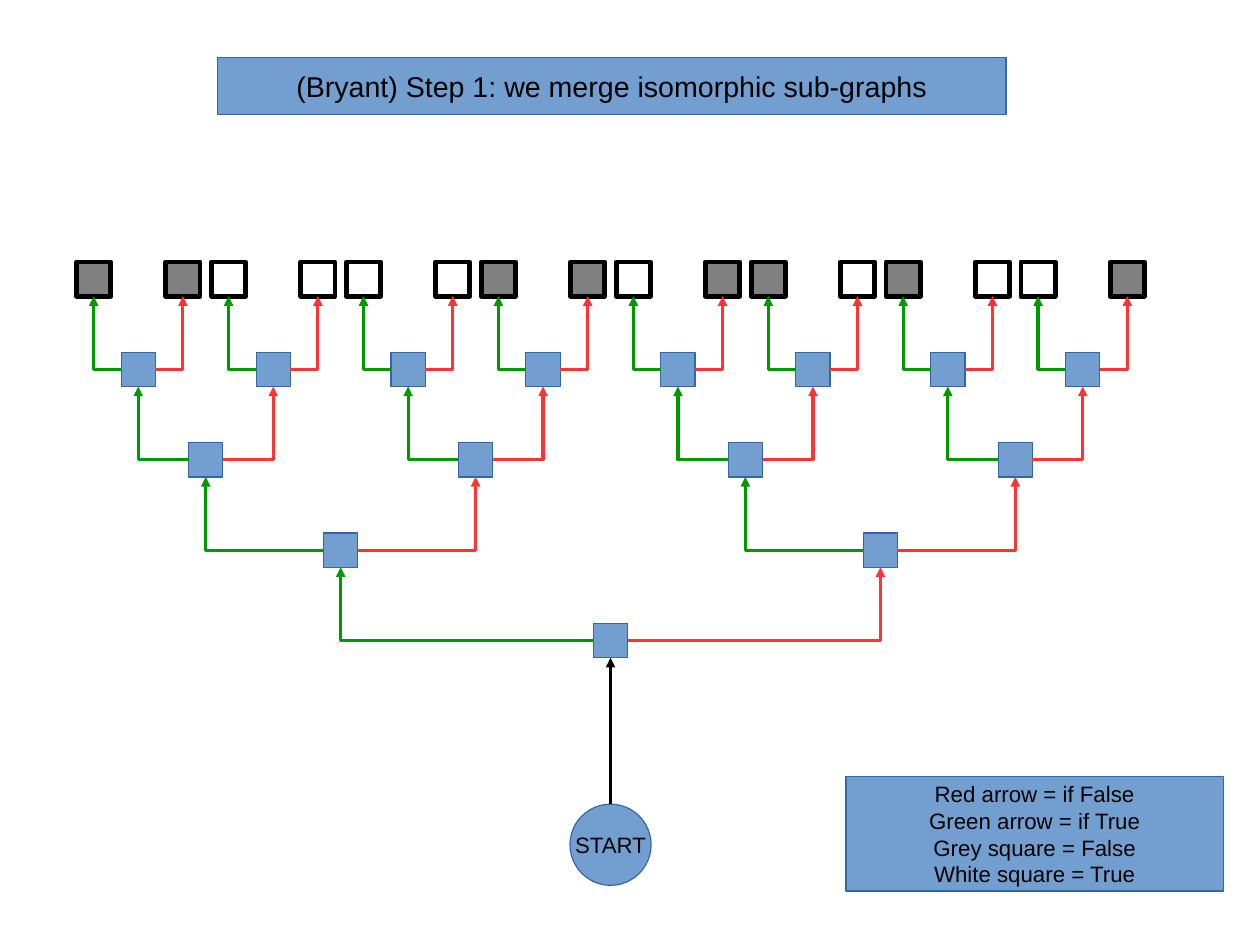
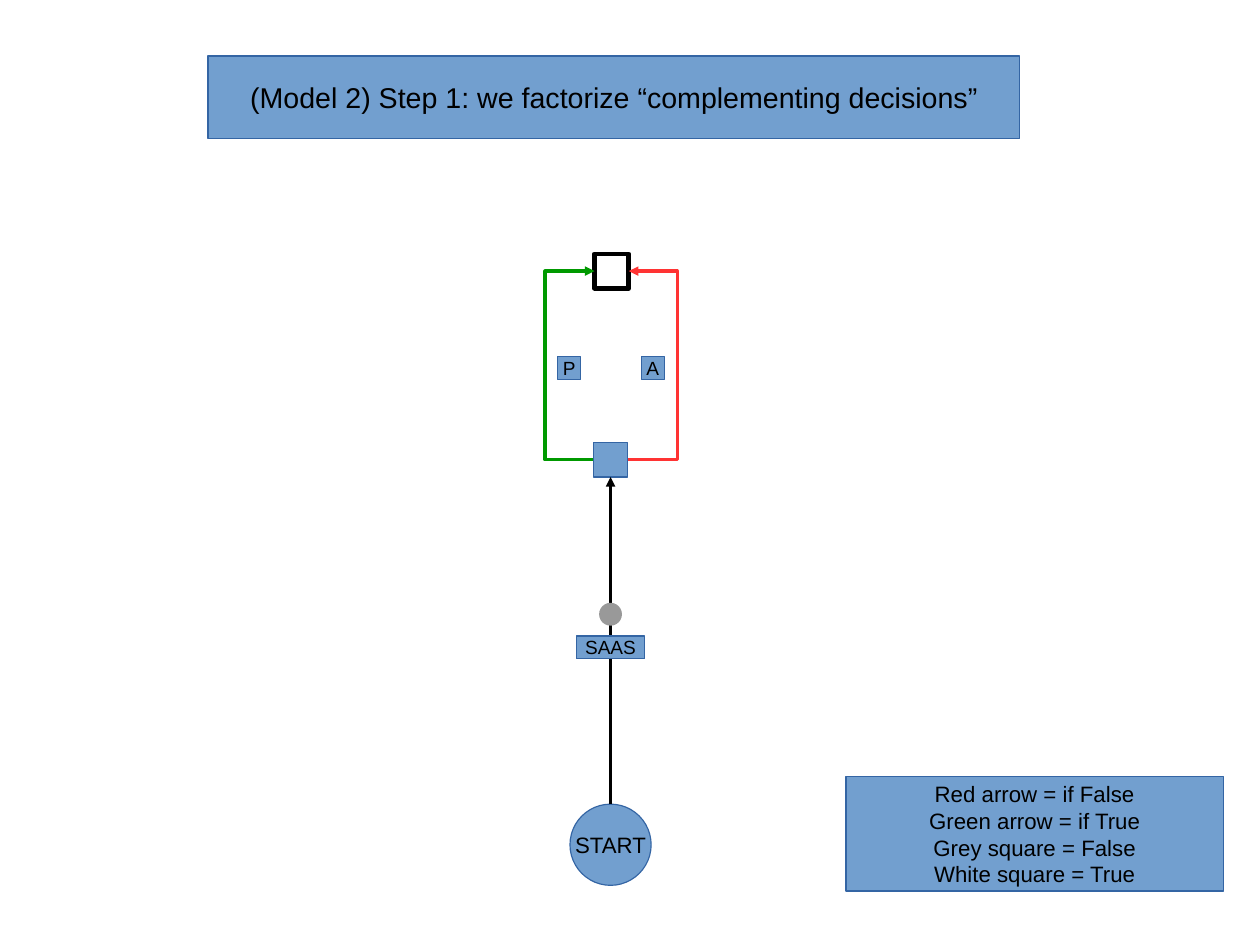
from collections.abc import Iterator
from dataclasses import dataclass

from lxml.etree import SubElement as Sub
from pptx import Presentation
from pptx.dml.color import RGBColor as Rgb
from pptx.enum.shapes import MSO_CONNECTOR as Link, MSO_SHAPE as Kind
from pptx.enum.text import MSO_ANCHOR as Anchor, PP_ALIGN as Align
from pptx.oxml.ns import qn
from pptx.shapes.autoshape import Shape
from pptx.shapes.connector import Connector
from pptx.slide import Slide
from pptx.util import Inches, Pt

COLORS = {
    "blue": "729FCF",
    "edge": "3465A4",
    "black": "000000",
    "white": "FFFFFF",
    "grey": "808080",
    "dot": "999999",
    "green": "009900",
    "red": "FF3333",
}
FONT = "Arial"
MID = 5.34
SIDE = 0.3
ROOT_Y = 5.6
RISE = 0.79
STEPS = (2.36, 1.18, 0.59, 0.39)
LEAVES = "GGWWWWGGWGGWGWWG"
LEAF_FILL = {"G": "grey", "W": "white"}
TOP, LEFT, BOTTOM, RIGHT = range(4)
LEGEND = """Red arrow = if False
Green arrow = if True
Grey square = False
White square = True"""


@dataclass(frozen=True)
class Box:
    x: float
    y: float
    w: float
    h: float
    kind: Kind = Kind.RECTANGLE
    fill: str = "blue"
    edge: str | None = "edge"
    weight: float = 0


@dataclass(frozen=True)
class Label:
    text: str
    box: Box
    size: int = 12


LEGEND_LABEL = Label(LEGEND, Box(7.4, 6.79, 3.3, 1), 14)
START = Label("START", Box(MID - 0.355, 7.03, 0.71, 0.71, Kind.OVAL), 14)
TAGS = (
    Label("SAAS", Box(5.04, 5.56, 0.6, 0.2)),
    Label("P", Box(4.88, 3.12, 0.2, 0.2)),
    Label("A", Box(5.61, 3.12, 0.2, 0.2)),
)


def color(name: str) -> Rgb:
    return Rgb.from_string(COLORS[name])


def draw(slide: Slide, box: Box) -> Shape:
    shape = slide.shapes.add_shape(
        box.kind, Inches(box.x), Inches(box.y), Inches(box.w), Inches(box.h)
    )
    shape.shadow.inherit = False
    shape.fill.solid()
    shape.fill.fore_color.rgb = color(box.fill)
    if box.edge:
        shape.line.color.rgb = color(box.edge)
        shape.line.width = Pt(box.weight)
    else:
        shape.line.fill.background()
    return shape


def write(shape: Shape, text: str, *, size: int, ink: str = "black") -> None:
    frame = shape.text_frame
    frame.word_wrap = False
    frame.vertical_anchor = Anchor.MIDDLE
    frame.text = text
    for para in frame.paragraphs:
        para.alignment = Align.CENTER
        para.font.name = FONT
        para.font.size = Pt(size)
        para.font.color.rgb = color(ink)


def label(slide: Slide, item: Label) -> Shape:
    shape = draw(slide, item.box)
    write(shape, item.text, size=item.size)
    return shape


def node(slide: Slide, x: float, y: float) -> Shape:
    return draw(slide, Box(x - SIDE / 2, y - SIDE / 2, SIDE, SIDE))


def leaf(slide: Slide, x: float, y: float, fill: str) -> Shape:
    box = Box(x - SIDE / 2, y - SIDE / 2, SIDE, SIDE, fill=fill, edge="black", weight=3)
    return draw(slide, box)


def arrow(slide: Slide, start: Shape, out: int, end: Shape, into: int,
          ink: str, kind: Link = Link.ELBOW) -> Connector:
    line = slide.shapes.add_connector(kind, 0, 0, 0, 0)
    line.begin_connect(start, out)
    line.end_connect(end, into)
    line.line.color.rgb = color(ink)
    line.line.width = Pt(0)
    props = line._element.spPr
    Sub(props.find(qn("a:ln")), qn("a:tailEnd"), type="triangle")
    Sub(props, qn("a:effectLst"))
    return line


def branch(slide: Slide, start: Shape, out: int, end: Shape, ink: str) -> None:
    line = arrow(slide, start, out, end, BOTTOM, ink)
    line._element.spPr.find(qn("a:prstGeom")).set("prst", "bentConnector2")


def loop(slide: Slide, start: Shape, side: int, end: Shape, ink: str, turn: float) -> None:
    line = arrow(slide, start, side, end, side, ink)
    ratio = (Inches(turn) - line.begin_x) / (line.end_x - line.begin_x)
    geom = line._element.spPr.find(qn("a:prstGeom"))
    guides = geom.find(qn("a:avLst"))
    if guides is None:
        guides = Sub(geom, qn("a:avLst"))
    Sub(guides, qn("a:gd"), name="adj1", fmla=f"val {round(ratio * 100000)}")


def grow(slide: Slide, x: float, level: int, fills: Iterator[str]) -> Shape:
    y = ROOT_Y - RISE * level
    if level == len(STEPS):
        return leaf(slide, x, y, LEAF_FILL[next(fills)])
    root = node(slide, x, y)
    for sign, side, ink in ((-1, LEFT, "green"), (1, RIGHT, "red")):
        child = grow(slide, x + sign * STEPS[level], level + 1, fills)
        branch(slide, root, side, child, ink)
    return root


def frame(deck: Presentation, title: Label) -> tuple[Slide, Shape]:
    slide = deck.slides.add_slide(deck.slide_layouts[6])
    label(slide, LEGEND_LABEL)
    label(slide, title)
    return slide, label(slide, START)


def merge(deck: Presentation) -> None:
    title = Label("(Bryant) Step 1: we merge isomorphic sub-graphs", Box(1.9, 0.5, 6.9, 0.5), 18)
    slide, start = frame(deck, title)
    root = grow(slide, MID, 0, iter(LEAVES))
    arrow(slide, start, TOP, root, BOTTOM, "black", Link.STRAIGHT)


def factor(deck: Presentation) -> None:
    title = Label(
        "(Model 2) Step 1: we factorize “complementing decisions”",
        Box(1.82, 0.49, 7.1, 0.72), 18,
    )
    slide, start = frame(deck, title)
    root = node(slide, MID, 4.02)
    goal = leaf(slide, MID + 0.01, 2.37, "white")
    arrow(slide, start, TOP, root, BOTTOM, "black", Link.STRAIGHT)
    loop(slide, root, LEFT, goal, "green", 4.76)
    loop(slide, root, RIGHT, goal, "red", 5.93)
    draw(slide, Box(MID - 0.1, 5.27, 0.2, 0.2, Kind.OVAL, "dot", None))
    for tag in TAGS:
        label(slide, tag)


def main() -> None:
    deck = Presentation()
    deck.slide_width = Inches(11.02)
    deck.slide_height = Inches(8.27)
    merge(deck)
    factor(deck)
    deck.save("out.pptx")


if __name__ == "__main__":
    main()
